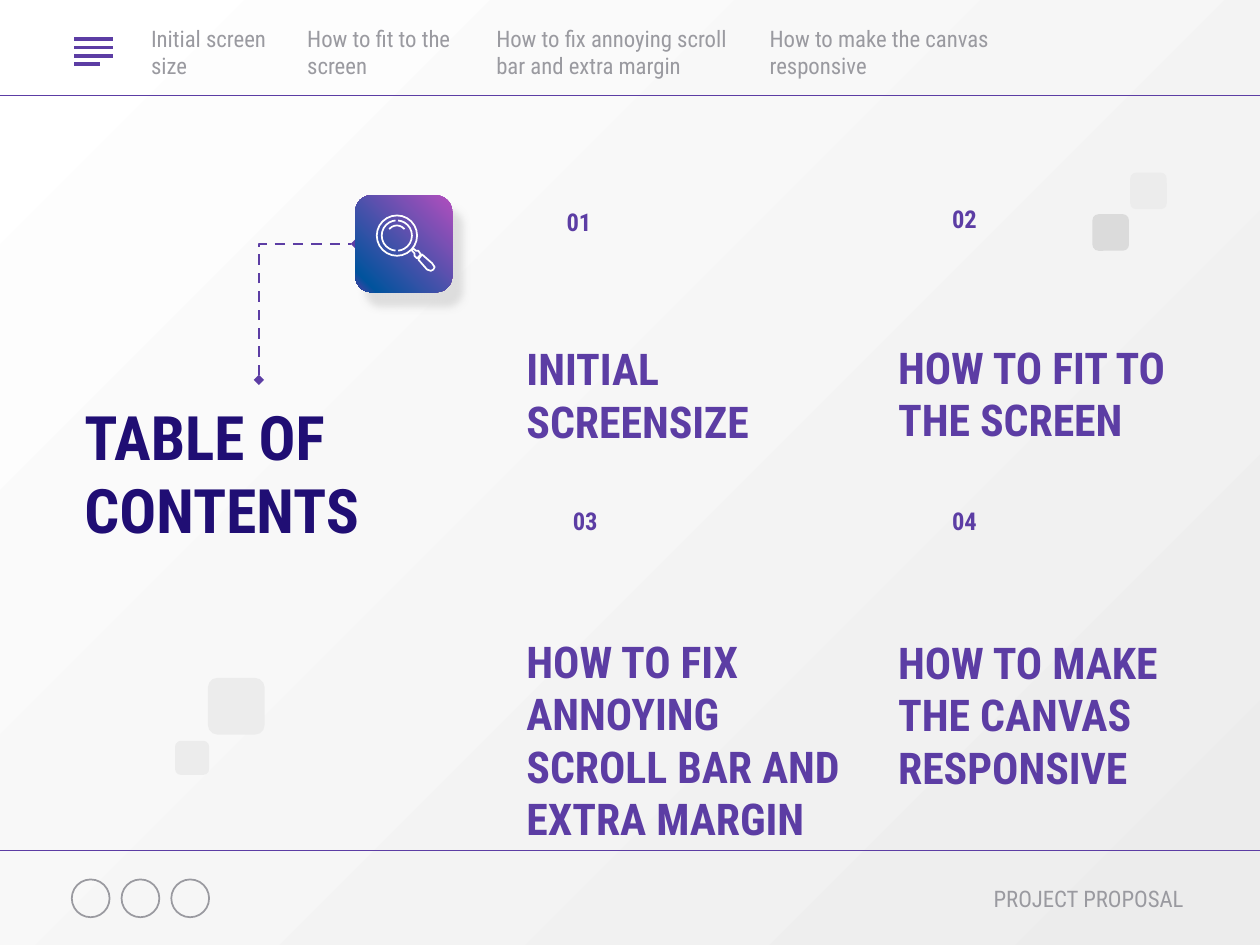
from copy import deepcopy

from lxml.etree import SubElement
from pptx import Presentation
from pptx.dml.color import RGBColor
from pptx.enum.dml import MSO_LINE
from pptx.enum.shapes import MSO_CONNECTOR, MSO_SHAPE
from pptx.enum.text import MSO_ANCHOR, MSO_AUTO_SIZE, PP_ALIGN
from pptx.oxml.ns import qn
from pptx.util import Inches, Pt

PURPLE, NAVY, GREY, WHITE = "5C3DA4", "200E74", "9A9AA0", "FFFFFF"
PALE, SILVER = "ECECEC", "DBDBDB"
FONT = "Roboto Condensed"


def colour(hex_string):
    """Turn a hex string into a colour."""
    return RGBColor.from_string(hex_string)


def inches(*lengths):
    """Convert several lengths to EMU."""
    return [Inches(length) for length in lengths]


def apply(target, values):
    """Set each attribute named in a dict of format values."""
    for name, value in values.items():
        setattr(target, name, value)


def write(holder, words, size, ink, bold=False, align=PP_ALIGN.LEFT,
          anchor=MSO_ANCHOR.MIDDLE, inset=0.1):
    """Fill a text holder with one formatted paragraph."""
    frame = holder.text_frame
    sides = ("left", "top", "right", "bottom")
    apply(frame, {f"margin_{side}": Inches(inset) for side in sides})
    apply(frame, {"word_wrap": True, "auto_size": MSO_AUTO_SIZE.NONE,
                  "vertical_anchor": anchor})
    paragraph = frame.paragraphs[0]
    paragraph.alignment = align
    run = paragraph.add_run()
    run.text = words
    apply(run.font, {"name": FONT, "size": Pt(size), "bold": bold})
    run.font.color.rgb = colour(ink)


def add_text(slide, box, words, size, ink, **options):
    """Add a text box in the given box."""
    write(slide.shapes.add_textbox(*inches(*box)), words, size, ink, **options)


def style_shape(shape, fill=None, line=None, width=1):
    """Give a shape a flat fill and line without a shadow."""
    shape.shadow.inherit = False
    if fill:
        shape.fill.solid()
        shape.fill.fore_color.rgb = colour(fill)
    else:
        shape.fill.background()
    if line:
        shape.line.color.rgb = colour(line)
        shape.line.width = Pt(width)
    else:
        shape.line.fill.background()


def add_preset(slide, kind, box, adjustments=(), **style):
    """Add a styled preset shape with its adjustments."""
    shape = slide.shapes.add_shape(kind, *inches(*box))
    for index, value in enumerate(adjustments):
        shape.adjustments[index] = value
    style_shape(shape, **style)
    return shape


def add_tile(slide, left, top, side, fill):
    """Add a rounded square."""
    return add_preset(slide, MSO_SHAPE.ROUNDED_RECTANGLE,
                      (left, top, side, side), [0.167], fill=fill)


def add_gradient(fill, element, stops, angle):
    """Fill with a linear gradient of any number of stops."""
    fill.gradient()
    fill.gradient_angle = angle
    stop_list = next(element.iter(qn("a:gsLst")))
    for _ in stops[2:]:
        stop_list.append(deepcopy(stop_list[0]))
    for stop, (position, shade) in zip(fill.gradient_stops, stops):
        stop.position = position
        stop.color.rgb = colour(shade)


def add_line(slide, ends, width, kind=MSO_CONNECTOR.STRAIGHT):
    """Add a purple connector without a shadow."""
    line = slide.shapes.add_connector(kind, *inches(*ends))
    line.line.color.rgb = colour(PURPLE)
    line.line.width = Pt(width)
    SubElement(line._element.spPr, qn("a:effectLst"))
    return line


def add_header(slide, left, top, width, height):
    """Draw the menu mark, the navigation entries and the rule below."""
    for row, length in enumerate((0.31, 0.31, 0.31, 0.2)):
        y = top + 0.31 + row * 0.067
        add_line(slide, (left + 0.59, y, left + 0.59 + length, y), 2.25)
    entries = [(1.1, 1.19, "Initial screen size"),
               (2.34, 1.4, "How to fit to the screen"),
               (3.84, 2.09, "How to fix annoying scroll bar and extra margin"),
               (6.01, 1.97, "How to make the canvas responsive")]
    for x, entry_width, entry in entries:
        add_text(slide, (left + x, top + 0.19, entry_width, 0.44), entry, 13, GREY)
    add_line(slide, (left, top + height, left + width, top + height), 0.75)


def add_footer(slide, left, top, width):
    """Draw the rule, the three round marks and the closing label."""
    add_line(slide, (left, top, left + width, top), 0.75)
    for column in range(3):
        add_preset(slide, MSO_SHAPE.OVAL,
                   (left + 0.57 + column * 0.395, top + 0.23, 0.3, 0.3), line=GREY)
    add_text(slide, (left + width - 3.01, top + 0.16, 2.5, 0.44),
             "PROJECT PROPOSAL", 13, GREY, align=PP_ALIGN.RIGHT)


def add_heading(slide, left, top, width, height):
    """Place the title and the dashed elbow above it."""
    title = slide.shapes.title
    apply(title, dict(zip(("left", "top", "width", "height"),
                          inches(left, top, width, height))))
    write(title, "TABLE OF CONTENTS", 35, NAVY, bold=True)
    x, y = left + 1.33, top - 0.92
    elbow = add_line(slide, (x, y, x + 1.08, y + 0.77), 1.5, MSO_CONNECTOR.ELBOW)
    elbow.line.dash_style = MSO_LINE.DASH
    geometry = elbow._element.spPr
    geometry.find(qn("a:xfrm")).set("rot", str(270 * 60000))
    geometry.find(qn("a:prstGeom")).set("prst", "bentConnector2")
    for end in ("a:headEnd", "a:tailEnd"):
        SubElement(geometry.find(qn("a:ln")), qn(end), type="diamond")


def add_magnifier(slide, left, top):
    """Outline a magnifying glass in white."""
    add_preset(slide, MSO_SHAPE.OVAL, (left, top, 0.32, 0.32), line=WHITE)
    arcs = [(0.04, 0.24, 275, 85), (0.04, 0.24, 95, 265), (0.08, 0.16, 220, 320)]
    for offset, side, start, end in arcs:
        add_preset(slide, MSO_SHAPE.ARC, (left + offset, top + offset, side, side),
                   [start * 0.6, end * 0.6], line=WHITE)
    neck = [(0.29, 0.26), (0.31, 0.28), (0.33, 0.28), (0.35, 0.31),
            (0.32, 0.34), (0.3, 0.32), (0.3, 0.3), (0.28, 0.28)]
    grip = [(0.36, 0.31), (0.44, 0.38), (0.46, 0.41), (0.45, 0.43),
            (0.43, 0.44), (0.4, 0.43), (0.33, 0.35)]
    for outline in (neck, grip):
        points = [inches(left + x, top + y) for x, y in outline]
        builder = slide.shapes.build_freeform(*points[0])
        builder.add_line_segments(points[1:], close=True)
        style_shape(builder.convert_to_shape(), line=WHITE)


def add_search_card(slide, left, top, side):
    """Draw the gradient card with its shadow and magnifying glass."""
    card = add_tile(slide, left, top, side, PURPLE)
    add_gradient(card.fill, card._element,
                 [(0, "B24EBE"), (0.89, "01539D"), (1, PURPLE)], 225)
    effects = card._element.spPr.find(qn("a:effectLst"))
    shadow = SubElement(effects, qn("a:outerShdw"), blurRad=str(Pt(4.5)),
                        dist=str(Pt(9.8)), dir=str(55 * 60000), algn="bl",
                        rotWithShape="0")
    shade = SubElement(shadow, qn("a:srgbClr"), val="CCCCCC")
    SubElement(shade, qn("a:alpha"), val="60000")
    add_magnifier(slide, left + 0.17, top + 0.16)


def add_chapter(slide, number_box, heading_box, number, heading):
    """Place a chapter number and its heading."""
    add_text(slide, number_box, number, 14, PURPLE, bold=True,
             align=PP_ALIGN.CENTER, anchor=MSO_ANCHOR.TOP, inset=0.05)
    add_text(slide, heading_box, heading, 25, PURPLE, bold=True)


def main():
    """Build and save the contents slide."""
    deck = Presentation()
    deck.slide_width, deck.slide_height = inches(10, 7.5)
    slide = deck.slides.add_slide(deck.slide_layouts[5])
    add_gradient(slide.background.fill, slide._element, [(0, WHITE), (1, PALE)], 315)
    add_header(slide, 0, 0, 10, 0.76)
    add_footer(slide, 0, 6.75, 10)
    add_heading(slide, 0.57, 3.01, 2.98, 1.48)
    add_search_card(slide, 2.82, 1.55, 0.77)
    for tile in [(8.67, 1.7, 0.29, SILVER), (8.97, 1.37, 0.29, PALE),
                 (1.65, 5.38, 0.45, PALE), (1.39, 5.88, 0.27, PALE)]:
        add_tile(slide, *tile)
    chapters = [
        ((4.15, 1.59), (4.08, 2.84, 2.91), "INITIAL SCREENSIZE"),
        ((7.21, 1.57), (7.03, 2.83, 2.57), "HOW TO FIT TO THE SCREEN"),
        ((4.2, 3.97), (4.08, 5.58, 2.77),
         "HOW TO FIX ANNOYING SCROLL BAR AND EXTRA MARGIN"),
        ((7.21, 3.97), (7.03, 5.38, 2.73), "HOW TO MAKE THE CANVAS RESPONSIVE")]
    for order, (number_at, heading_at, heading) in enumerate(chapters, 1):
        add_chapter(slide, (*number_at, 0.89, 0.71), (*heading_at, 0.58),
                    f"{order:02}", heading)
    deck.save("out.pptx")


if __name__ == "__main__":
    main()
